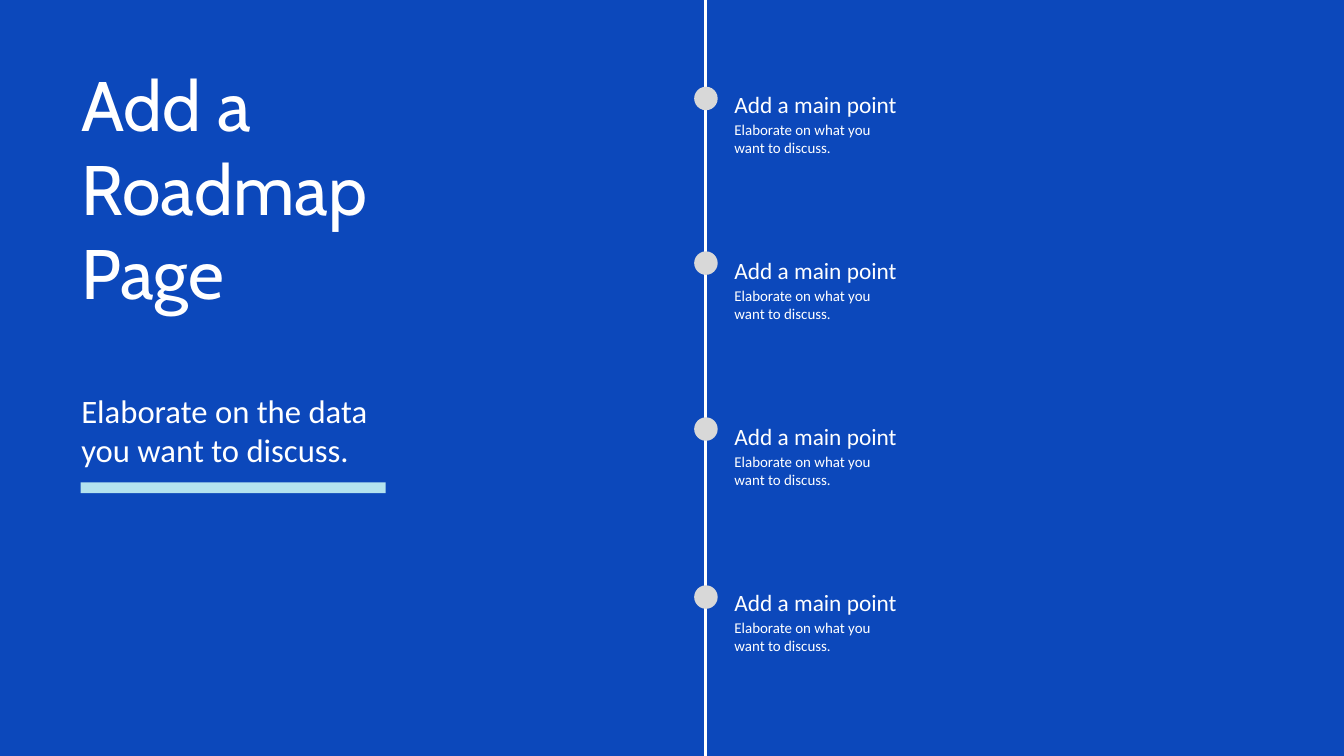
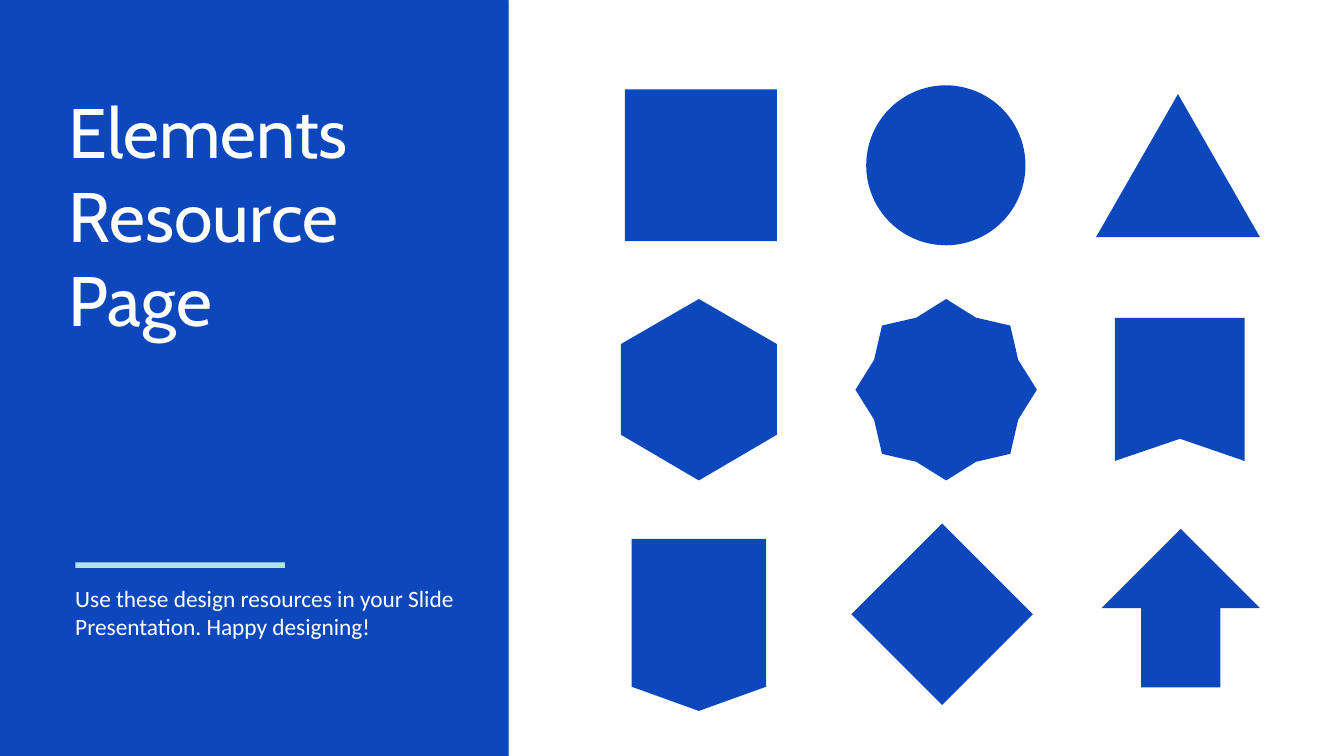
from lxml import etree
from pptx import Presentation
from pptx import util as u
from pptx.dml.color import RGBColor
from pptx.enum import shapes, text
from pptx.oxml.ns import qn

BLUE = RGBColor(0x0C, 0x48, 0xBB)
WHITE = RGBColor(0xFF, 0xFF, 0xFF)
AQUA = RGBColor(0xB4, 0xE3, 0xEF)
GREY = RGBColor(0xD8, 0xD8, 0xD8)
KIND = shapes.MSO_SHAPE

FRAME = dict(
    margin_left=0, margin_top=0, margin_right=0, margin_bottom=0,
    word_wrap=True, vertical_anchor=text.MSO_ANCHOR.TOP,
    auto_size=text.MSO_AUTO_SIZE.SHAPE_TO_FIT_TEXT)
FONTS = {
    "title": dict(name="Cabin", size=u.Pt(75)),
    "lead": dict(name="Calibri", size=u.Pt(35)),
    "head": dict(name="Calibri", size=u.Pt(25)),
    "note": dict(name="Calibri", size=u.Pt(16)),
}


def put(item, vals):
    for key, val in vals.items():
        setattr(item, key, val)


def inch(*nums):
    return [u.Inches(n) for n in nums]


class Deck:
    def __init__(self):
        self.prs = Presentation()
        put(self.prs, dict(slide_width=u.Inches(20), slide_height=u.Inches(11.25)))
        self.slide = None

    def page(self, back):
        self.slide = self.prs.slides.add_slide(self.prs.slide_layouts[5])
        fill = self.slide.background.fill
        fill.solid()
        fill.fore_color.rgb = back

    def words(self, shape, lines, style, space=1.0):
        frame = shape.text_frame
        frame.text = "\n".join(lines)
        put(frame, FRAME)
        for para in frame.paragraphs:
            put(para, dict(alignment=text.PP_ALIGN.LEFT, line_spacing=space))
            put(para.font, FONTS[style])
            para.font.color.rgb = WHITE

    def title(self, box, lines):
        shape = self.slide.shapes.title
        put(shape, dict(zip(("left", "top", "width", "height"), inch(*box))))
        shape.element.getparent().append(shape.element)
        self.words(shape, lines, "title")

    def text(self, box, lines, style, space=1.0):
        shape = self.slide.shapes.add_textbox(*inch(*box))
        self.words(shape, lines, style, space)

    def paint(self, shape, color):
        shape.shadow.inherit = False
        shape.fill.solid()
        shape.fill.fore_color.rgb = color
        shape.line.fill.background()

    def shape(self, kind, box, color=BLUE):
        shape = self.slide.shapes.add_shape(kind, *inch(*box))
        self.paint(shape, color)
        return shape

    def outline(self, points, color=BLUE):
        first, *rest = [inch(*p) for p in points]
        pen = self.slide.shapes.build_freeform(*first)
        pen.add_line_segments(rest, close=True)
        self.paint(pen.convert_to_shape(), color)

    def line(self, ends, color, width, alpha=None):
        line = self.slide.shapes.add_connector(
            shapes.MSO_CONNECTOR.STRAIGHT, *inch(*ends))
        line.line.width = u.Pt(width)
        line.line.color.rgb = color
        props = line.element.spPr
        if alpha:
            tone = props.find(".//" + qn("a:srgbClr"))
            etree.SubElement(tone, qn("a:alpha")).set("val", str(alpha * 1000))
        etree.SubElement(props, qn("a:effectLst"))


def roadmap(deck):
    deck.page(BLUE)
    deck.line((10.5, 0, 10.5, 11.25), WHITE, 2.5)
    deck.title((1.21, 0.91, 8.88, 3.79), ["Add a", "Roadmap", "Page"])
    deck.text((1.21, 5.81, 4.6, 1.18),
              ["Elaborate on the data", "you want to discuss."], "lead")
    deck.shape(KIND.RECTANGLE, (1.2, 7.18, 4.54, 0.16), AQUA)
    for step, dot in enumerate((1.29, 3.74, 6.21, 8.71)):
        top = 1.22 + 2.47 * step
        deck.text((10.93, top, 2.69, 0.42), ["Add a main point"], "head", 1.3)
        deck.text((10.93, top + 0.57, 2.69, 0.54),
                  ["Elaborate on what you", "want to discuss."], "note")
        deck.shape(KIND.OVAL, (10.33, dot, 0.35, 0.35), GREY)


def elements(deck):
    deck.page(WHITE)
    deck.shape(KIND.RECTANGLE, (0, 0, 7.57, 11.25))
    deck.line((7.57, 11.24, 7.57, 0.02), BLUE, 0.75, 30)
    deck.shape(KIND.RECTANGLE, (1.12, 8.37, 3.12, 0.08), AQUA)

    deck.shape(KIND.RECTANGLE, (9.3, 1.33, 2.26, 2.26))
    deck.shape(KIND.OVAL, (12.89, 1.27, 2.37, 2.38))
    deck.shape(KIND.ISOSCELES_TRIANGLE, (16.31, 1.4, 2.44, 2.13))

    deck.outline([(10.4, 4.45), (11.56, 5.12), (11.56, 6.47),
                  (10.4, 7.15), (9.24, 6.47), (9.24, 5.12)])
    star = deck.shape(KIND.STAR_8_POINT, (12.73, 4.45, 2.7, 2.7))
    star.adjustments[0] = 0.43
    deck.outline([(18.52, 4.73), (18.52, 6.86), (17.56, 6.53),
                  (16.59, 6.86), (16.59, 4.73)])

    deck.outline([(11.4, 8.02), (11.4, 10.22), (10.4, 10.58),
                  (9.4, 10.22), (9.4, 8.02)])
    deck.shape(KIND.DIAMOND, (12.67, 7.79, 2.7, 2.7))
    deck.shape(KIND.UP_ARROW, (16.39, 7.87, 2.36, 2.36))

    deck.title((1.02, 1.32, 4.96, 3.79), ["Elements", "Resource", "Page"])
    deck.text((1.12, 8.69, 5.73, 0.84),
              ["Use these design resources in your "
               "Slide Presentation. Happy designing!"], "head")


def main():
    deck = Deck()
    roadmap(deck)
    elements(deck)
    deck.prs.save("out.pptx")


if __name__ == "__main__":
    main()
